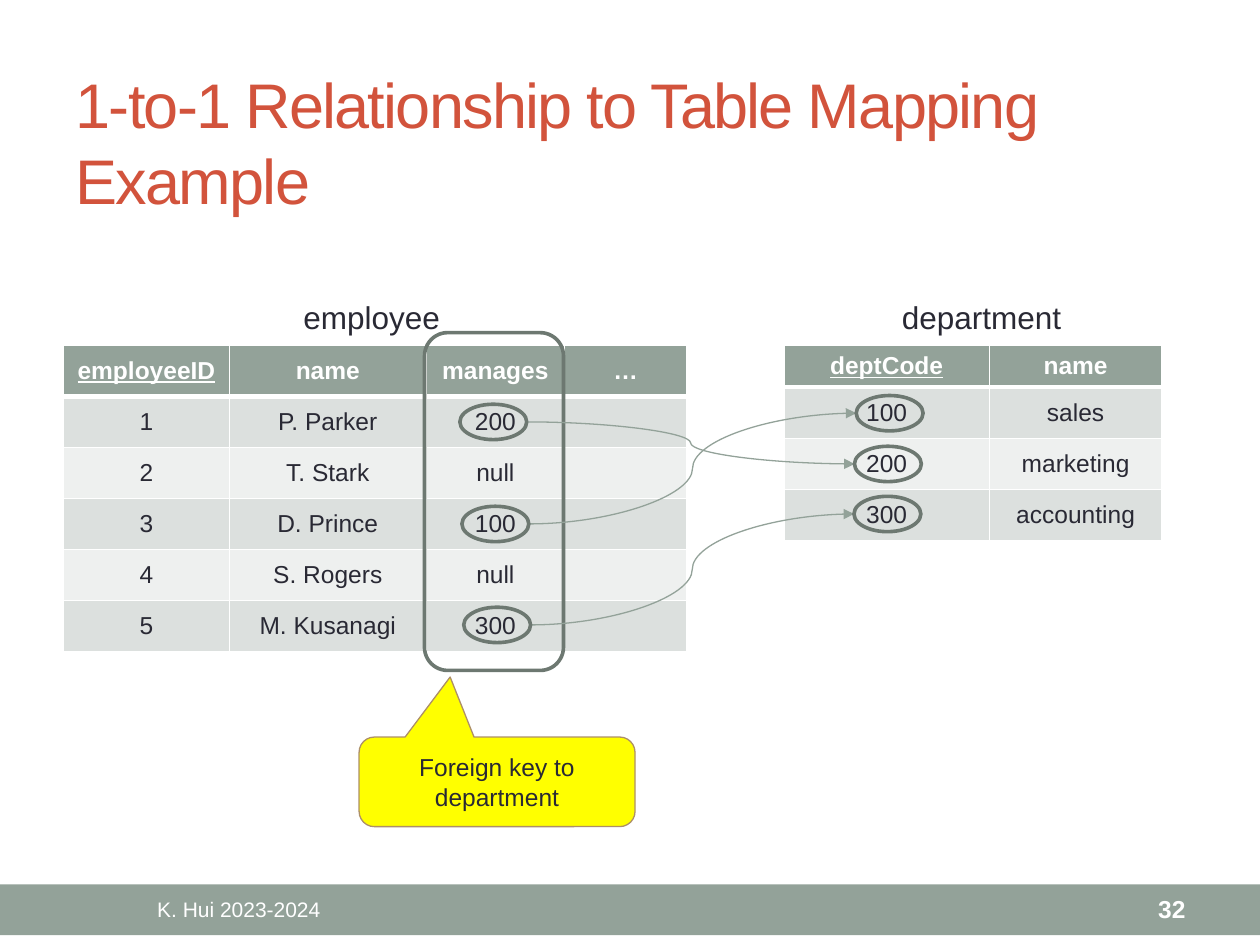
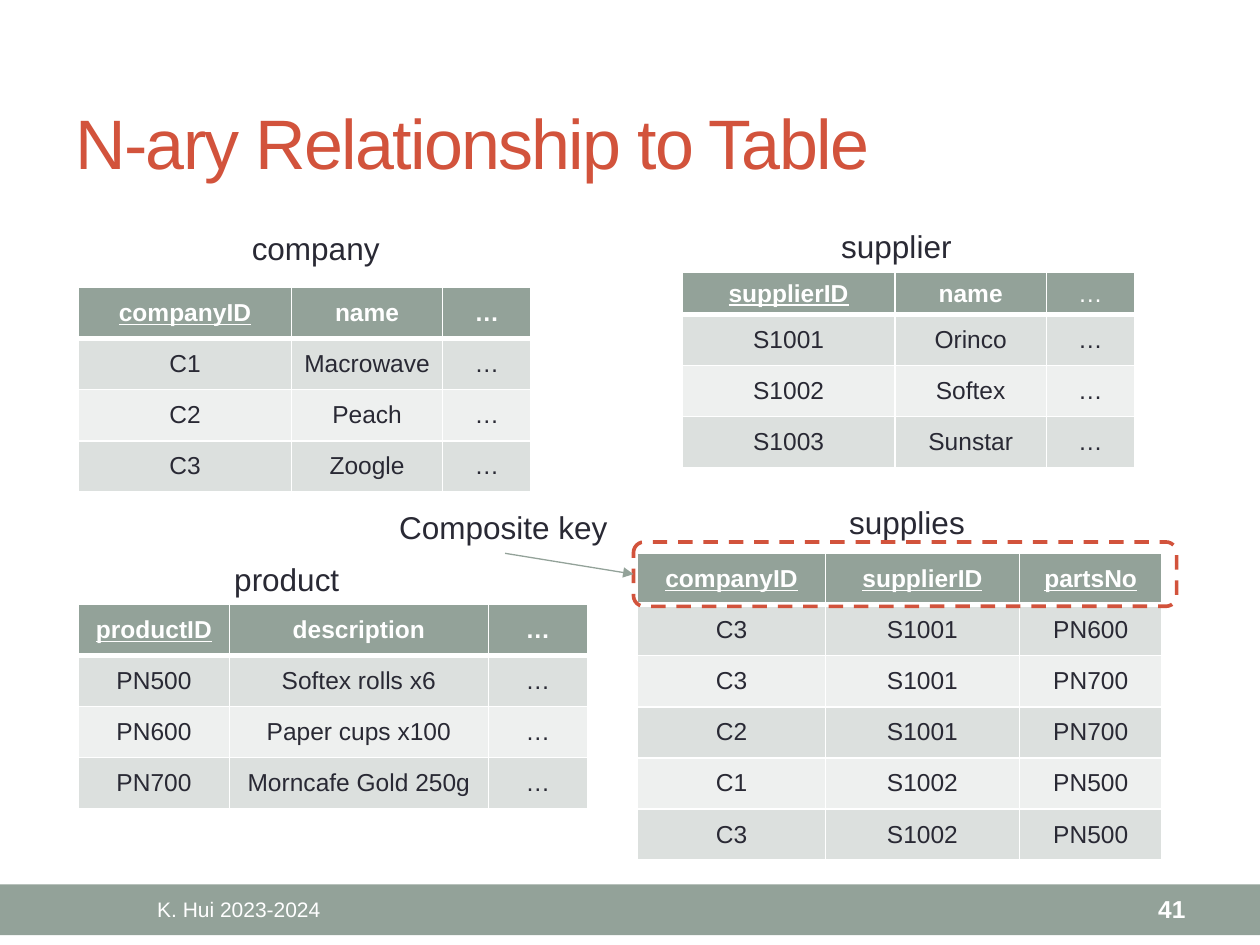
import lxml.etree
import pptx
import pptx.dml.color
import pptx.enum.dml
import pptx.enum.shapes
import pptx.enum.text
import pptx.oxml.ns
import pptx.util

WHITE = pptx.dml.color.RGBColor(0xFF, 0xFF, 0xFF)
INK = pptx.dml.color.RGBColor(0x29, 0x29, 0x34)
RED = pptx.dml.color.RGBColor(0xD2, 0x53, 0x3C)
SAGE = pptx.dml.color.RGBColor(0x93, 0xA2, 0x99)
MOSS = pptx.dml.color.RGBColor(0x6D, 0x78, 0x71)
DARK = pptx.dml.color.RGBColor(0xDC, 0xE0, 0xDE)
PALE = pptx.dml.color.RGBColor(0xEE, 0xF0, 0xEF)
GOLD = pptx.dml.color.RGBColor(0xFF, 0xFF, 0x00)
TAN = pptx.dml.color.RGBColor(0xAD, 0x8F, 0x67)

KIND = pptx.enum.shapes.MSO_SHAPE
LINK = pptx.enum.shapes.MSO_CONNECTOR
ALIGN = pptx.enum.text.PP_ALIGN
MID = pptx.enum.text.MSO_ANCHOR.MIDDLE
TOP = pptx.enum.text.MSO_ANCHOR.TOP
FIT = pptx.enum.text.MSO_AUTO_SIZE

ROW = 29.2
SLIM = 23.4
OVAL = (38.2, 20.2)


def pts(*vals):
    return [pptx.util.Pt(v) for v in vals]


def style(item, fmt):
    for name, val in fmt.items():
        setattr(item, name, val)


def write(frame, text, size, color, align=ALIGN.LEFT, **more):
    para = frame.paragraphs[0]
    para.alignment = align
    run = para.add_run()
    run.text = text
    style(run.font, {"name": "Arial", "size": pptx.util.Pt(size), **more})
    run.font.color.rgb = color
    return run


def note(slide, box, text, size, color=INK, align=ALIGN.LEFT, wrap=False, anchor=TOP, **more):
    frame = slide.shapes.add_textbox(*pts(*box)).text_frame
    style(frame, {"word_wrap": wrap, "vertical_anchor": anchor})
    write(frame, text, size, color, align, **more)


def draw(slide, kind, box, fill=None, line=None, width=2.08):
    shape = slide.shapes.add_shape(kind, *pts(*box))
    shape.shadow.inherit = False
    if fill is None:
        shape.fill.background()
    else:
        shape.fill.solid()
        shape.fill.fore_color.rgb = fill
    if line is None:
        shape.line.fill.background()
    else:
        shape.line.color.rgb = line
        shape.line.width = pptx.util.Pt(width)
    return shape


def join(slide, kind, start, end):
    link = slide.shapes.add_connector(kind, *pts(*start, *end))
    link.line.color.rgb = SAGE
    link.line.width = pptx.util.Pt(0.75)
    props = link.element.spPr
    qn = pptx.oxml.ns.qn
    lxml.etree.SubElement(props.find(qn("a:ln")), qn("a:tailEnd"), type="triangle")
    lxml.etree.SubElement(props, qn("a:effectLst"))


def edge(cell, sides):
    qn = pptx.oxml.ns.qn
    props = cell._tc.get_or_add_tcPr()
    for side, width in sides.items():
        line = lxml.etree.SubElement(props, qn("a:ln" + side), w=str(pptx.util.Pt(width)))
        fill = lxml.etree.SubElement(line, qn("a:solidFill"))
        lxml.etree.SubElement(fill, qn("a:srgbClr"), val=str(WHITE))


def grid(slide, spot, cols, rows, keys=1, top=ROW, light=()):
    highs = [top] + [ROW] * (len(rows) - 1)
    size = (sum(cols), sum(highs))
    table = slide.shapes.add_table(len(rows), len(cols), *pts(*spot, *size)).table
    for col, width in zip(table.columns, cols):
        col.width = pptx.util.Pt(width)
    for r, (row, high) in enumerate(zip(rows, highs)):
        table.rows[r].height = pptx.util.Pt(high)
        for c, text in enumerate(row):
            head = r == 0
            cell = table.cell(r, c)
            edge(cell, {"L": 1, "R": 1, "T": 3 if r == 1 else 1, "B": 3 if head else 1})
            cell.fill.solid()
            cell.fill.fore_color.rgb = SAGE if head else DARK if r % 2 else PALE
            cell.vertical_anchor = MID
            if text:
                write(cell.text_frame, text, 14, WHITE if head else INK, ALIGN.CENTER,
                      bold=head and c not in light, underline=head and c < keys)


def label(slide, text, x, y, width):
    note(slide, (x, y, width, 29), text, 18)


def base(deck, title, size, page):
    slide = deck.slides.add_slide(deck.slide_layouts[5])
    draw(slide, KIND.RECTANGLE, (0, 505.4, 720, 29), SAGE)
    head = slide.shapes.title
    style(head, dict(zip(("left", "top", "width", "height"), pts(36, 41.8, 648, 77.8))))
    style(head.text_frame, {"word_wrap": True, "auto_size": FIT.NONE, "vertical_anchor": MID})
    run = write(head.text_frame, title, size, RED)
    run._r.get_or_add_rPr().set("spc", "-100")
    foot = {"color": WHITE, "wrap": True, "anchor": MID}
    note(slide, (36, 506.2, 201, 26), "K. Hui 2023-2024", 12, align=ALIGN.CENTER, **foot)
    note(slide, (600.5, 506.2, 84, 26), page, 14, align=ALIGN.RIGHT, bold=True, **foot)
    return slide


def trace(slide, start, end):
    wide, high = OVAL
    join(slide, LINK.CURVE, (start[0] + wide, start[1] + high / 2), (end[0], end[1] + high / 2))
    for spot in (end, start):
        draw(slide, KIND.OVAL, (*spot, *OVAL), line=MOSS)


def callout(slide, box, text):
    shape = draw(slide, KIND.ROUNDED_RECTANGULAR_CALLOUT, box, GOLD, TAN, 0.75)
    for i, val in enumerate((-0.17, -1.17, 0.17)):
        shape.adjustments[i] = val
    style(shape.text_frame, {"word_wrap": True, "vertical_anchor": MID})
    write(shape.text_frame, text, 14, INK, ALIGN.CENTER)


def pair(deck):
    slide = base(deck, "1-to-1 Relationship to Table Mapping Example", 36, "32")
    grid(slide, (36.2, 197.2), (95, 112.3, 79.2, 69.8), [
        ("employeeID", "name", "manages", "…"),
        ("1", "P. Parker", "200", ""),
        ("2", "T. Stark", "null", ""),
        ("3", "D. Prince", "100", ""),
        ("4", "S. Rogers", "null", ""),
        ("5", "M. Kusanagi", "300", "")])
    grid(slide, (448, 197.2), (117.4, 98.6), [
        ("deptCode", "name"),
        ("100", "sales"),
        ("200", "marketing"),
        ("300", "accounting")], top=SLIM)
    label(slide, "employee", 166.3, 167, 93.6)
    label(slide, "department", 508.3, 167, 106.6)
    draw(slide, KIND.ROUNDED_RECTANGLE, (242.6, 190.1, 79.4, 193), line=MOSS)
    for start, end in (((262.8, 231), (488.3, 255)),
                       ((264, 289.3), (489.3, 226)),
                       ((265, 347), (488, 283.6))):
        trace(slide, start, end)
    callout(slide, (205.2, 421.2, 157.7, 51.2), "Foreign key to department")


def key(slide, x, y):
    frame = draw(slide, KIND.ROUNDED_RECTANGLE, (x, y, 310.4, 36.8), line=RED)
    frame.line.dash_style = pptx.enum.dml.MSO_LINE.DASH
    label(slide, "Composite key", x - 141, y - 23, 134.6)
    join(slide, LINK.STRAIGHT, (x - 73.4, y + 6.5), (x, y + 18.4))


def many(deck):
    slide = base(deck, "N-ary Relationship to Table", 40, "41")
    firm = (121.7, 86.4, 50.4)
    grid(slide, (44.9, 164.3), firm, [
        ("companyID", "name", "…"),
        ("C1", "Macrowave", "…"),
        ("C2", "Peach", "…"),
        ("C3", "Zoogle", "…")])
    grid(slide, (389.8, 155.7), firm, [
        ("supplierID", "name", "…"),
        ("S1001", "Orinco", "…"),
        ("S1002", "Softex", "…"),
        ("S1003", "Sunstar", "…")], top=SLIM, light=(2,))
    grid(slide, (44.9, 345.4), (86.2, 148, 56.7), [
        ("productID", "description", "…"),
        ("PN500", "Softex rolls x6", "…"),
        ("PN600", "Paper cups x100", "…"),
        ("PN700", "Morncafe Gold 250g", "…")])
    label(slide, "company", 136.8, 127.5, 88.6)
    label(slide, "supplier", 473.6, 126, 78.5)
    label(slide, "product", 126.8, 316.7, 74.9)
    grid(slide, (364.4, 316.3), (107.3, 110.9, 81.4), [
        ("companyID", "supplierID", "partsNo"),
        ("C3", "S1001", "PN600"),
        ("C3", "S1001", "PN700"),
        ("C2", "S1001", "PN700"),
        ("C1", "S1002", "PN500"),
        ("C3", "S1002", "PN500")], keys=3)
    label(slide, "supplies", 478.2, 284, 81.4)
    key(slide, 362, 309.7)


def main():
    deck = pptx.Presentation()
    deck.slide_width, deck.slide_height = pts(720, 540)
    pair(deck)
    many(deck)
    deck.save("out.pptx")


if __name__ == "__main__":
    main()
